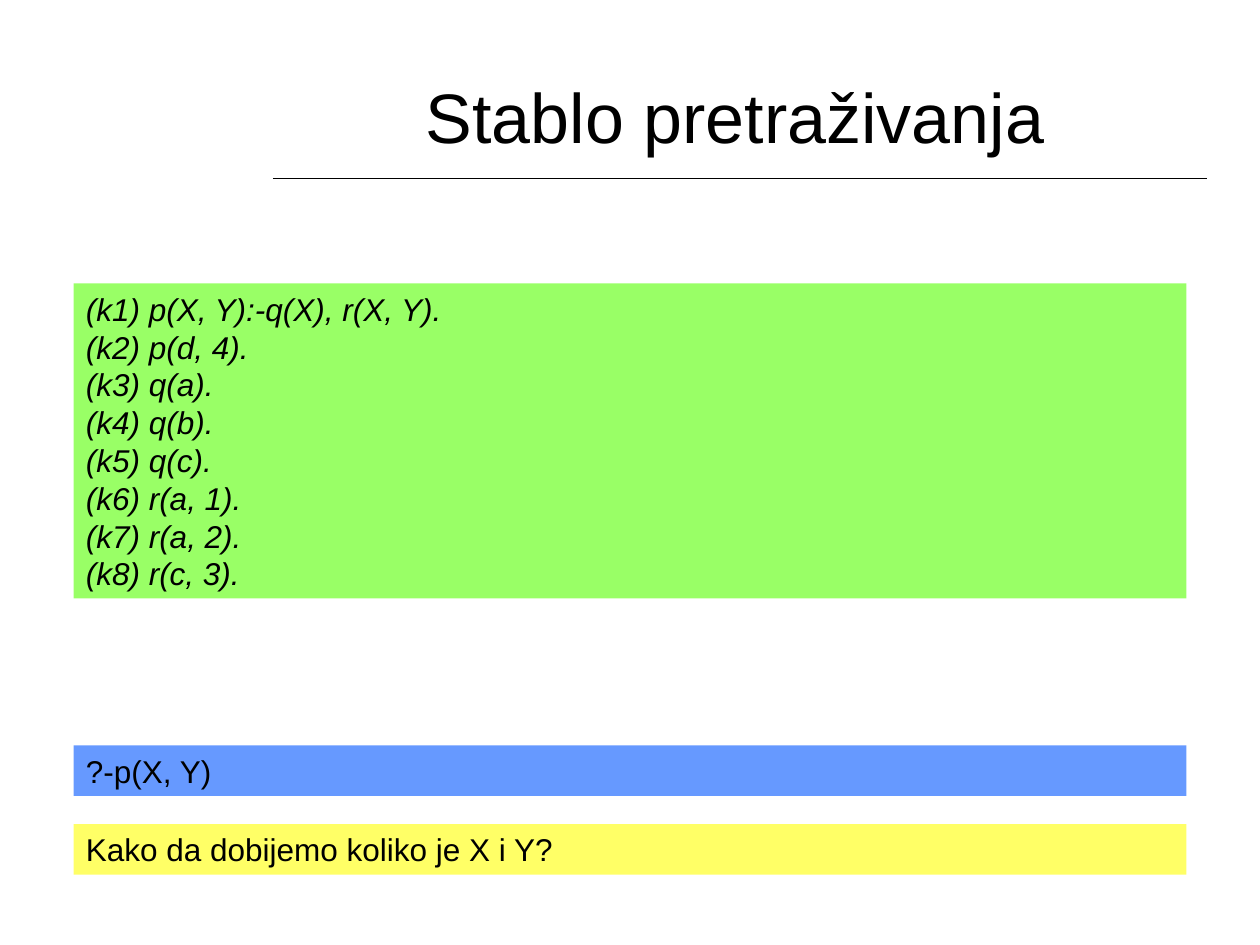
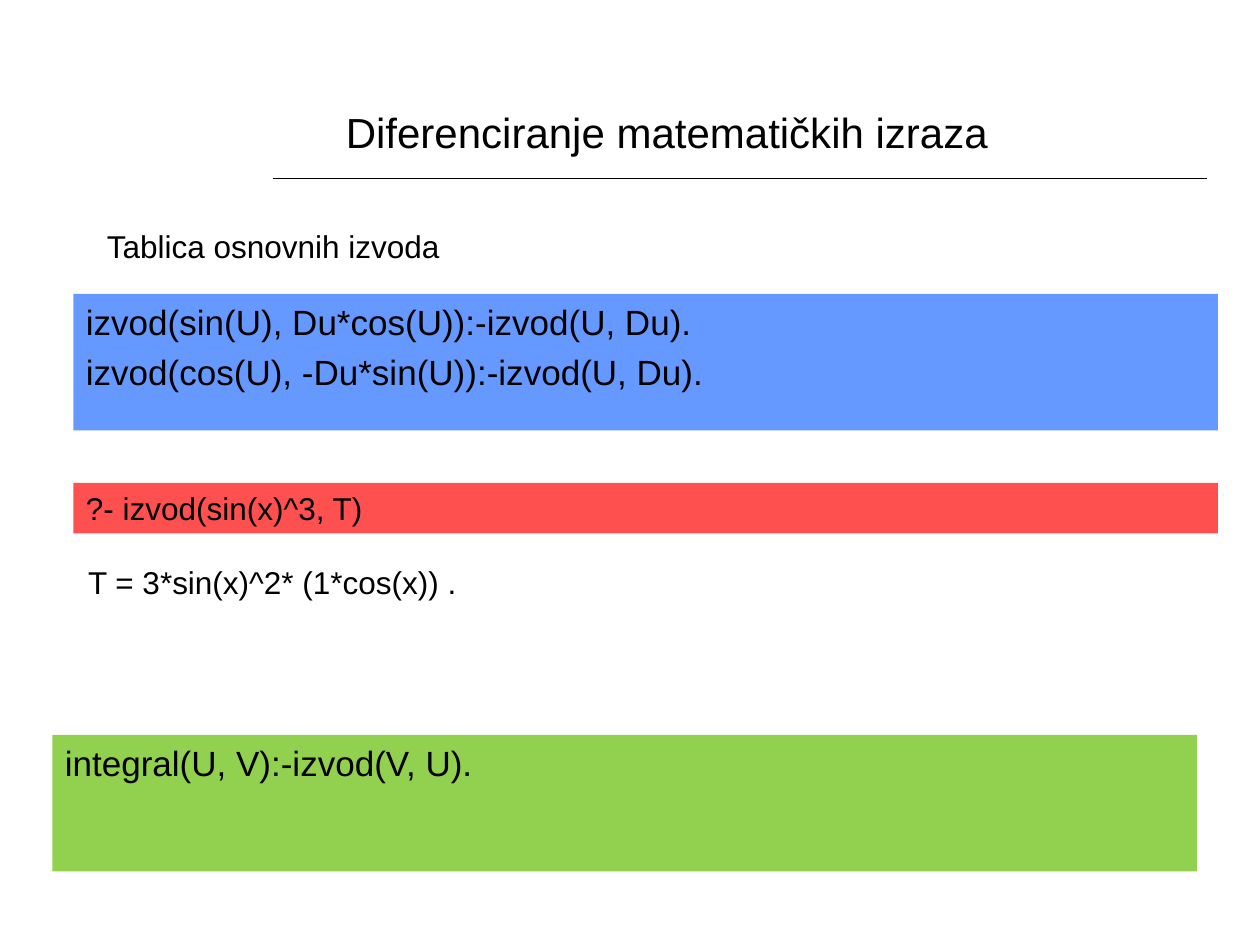
"""Build two slides on logic programming: a search tree and symbolic derivatives."""
from lxml.etree import SubElement
from pptx import Presentation
from pptx.dml.color import RGBColor
from pptx.enum.shapes import MSO_CONNECTOR, MSO_SHAPE
from pptx.enum.text import MSO_ANCHOR, MSO_AUTO_SIZE, PP_ALIGN
from pptx.oxml.ns import qn
from pptx.util import Inches, Pt

HUES = {"ink": "000000", "lime": "99FF66", "blue": "6699FF",
        "yellow": "FFFF66", "red": "FF5050", "green": "92D050"}
COLS, ROWS = 120, 90
RULE = (26, 17, 115)
LINE = 4.8
FONT = "Arial"
STYLES = {
    "facts": {"size": 18, "italic": True, "anchor": "MIDDLE", "grow": True},
    "query": {"size": 18, "anchor": "MIDDLE", "grow": True},
    "note": {"size": 18, "grow": True},
    "label": {"size": 18, "grow": True, "wrap": False},
    "code": {"size": 20, "before": 5, "hang": 0.38},
}
SLIDES = [
    {"title": ("Stablo pretraživanja", 40, (26, 5, 88, 12)),
     "parts": [
         ("facts", "lime", (7, 27, 106, 30),
          ["(k1) p(X, Y):-q(X), r(X, Y).", "(k2) p(d, 4).", "(k3) q(a).", "(k4) q(b).",
           "(k5) q(c).", "(k6) r(a, 1).", "(k7) r(a, 2).", "(k8) r(c, 3)."]),
         ("query", "blue", (7, 71, 106, LINE), ["?-p(X, Y)"]),
         ("note", "yellow", (7, 78.5, 106, LINE), ["Kako da dobijemo koliko je X i Y?"]),
     ]},
    {"title": ("Diferenciranje matematičkih izraza", 24, (30, 5, 67, 15)),
     "parts": [
         ("code", "blue", (7, 28, 109, 13),
          ["izvod(sin(U), Du*cos(U)):-izvod(U, Du).",
           "izvod(cos(U), -Du*sin(U)):-izvod(U, Du)."]),
         ("label", None, (9, 21, 34.4, LINE), ["Tablica osnovnih izvoda"]),
         ("code", "green", (5, 70, 109, 13), ["integral(U, V):-izvod(V, U)."]),
         ("note", "red", (7, 46, 109, LINE), ["?- izvod(sin(x)^3, T)"]),
         ("label", None, (7.2, 53, 37.6, LINE), ["T = 3*sin(x)^2* (1*cos(x)) ."]),
     ]},
]

deck = Presentation()
deck.slide_width, deck.slide_height = Inches(10), Inches(7.5)


def across(col):
    return round(deck.slide_width * col / COLS)


def down(row):
    return round(deck.slide_height * row / ROWS)


def place(cell):
    col, row, wide, high = cell
    return across(col), down(row), across(wide), down(high)


def tint(name):
    return RGBColor.from_string(HUES[name])


def apply(item, values):
    for name, value in values.items():
        setattr(item, name, value)


def write(frame, lines, style, align):
    frame.text = "\n".join(lines)
    for para in frame.paragraphs:
        apply(para, {"alignment": align, "space_before": Pt(style.get("before", 0))})
        apply(para.font, {"name": FONT, "size": Pt(style["size"]),
                          "italic": style.get("italic", False)})
        para.font.color.rgb = tint("ink")
        if "hang" in style:
            props = para._p.get_or_add_pPr()
            props.set("marL", str(Inches(style["hang"])))
            props.set("indent", str(-Inches(style["hang"])))


def add_title(slide, text, size, cell):
    title = slide.shapes.title
    apply(title, dict(zip(("left", "top", "width", "height"), place(cell))))
    title.text_frame.vertical_anchor = MSO_ANCHOR.MIDDLE
    write(title.text_frame, [text], {"size": size}, PP_ALIGN.CENTER)


def add_rule(slide):
    start, row, end = RULE
    rule = slide.shapes.add_connector(MSO_CONNECTOR.STRAIGHT, across(start), down(row),
                                      across(end), down(row))
    rule.line.width = Pt(0.75)
    rule.line.color.rgb = tint("ink")
    SubElement(rule._element.spPr, qn("a:effectLst"))


def add_part(slide, kind, hue, cell, lines):
    style = STYLES[kind]
    if hue:
        box = slide.shapes.add_shape(MSO_SHAPE.RECTANGLE, *place(cell))
        box.shadow.inherit = False
        box.fill.solid()
        box.fill.fore_color.rgb = tint(hue)
        box.line.fill.background()
    else:
        box = slide.shapes.add_textbox(*place(cell))
    fit = MSO_AUTO_SIZE.SHAPE_TO_FIT_TEXT if style.get("grow") else MSO_AUTO_SIZE.NONE
    apply(box.text_frame, {"word_wrap": style.get("wrap", True), "auto_size": fit,
                           "vertical_anchor": MSO_ANCHOR[style.get("anchor", "TOP")]})
    write(box.text_frame, lines, style, PP_ALIGN.LEFT)


def main():
    for page in SLIDES:
        slide = deck.slides.add_slide(deck.slide_layouts[5])
        add_title(slide, *page["title"])
        add_rule(slide)
        for part in page["parts"]:
            add_part(slide, *part)
    deck.save("out.pptx")


if __name__ == "__main__":
    main()
